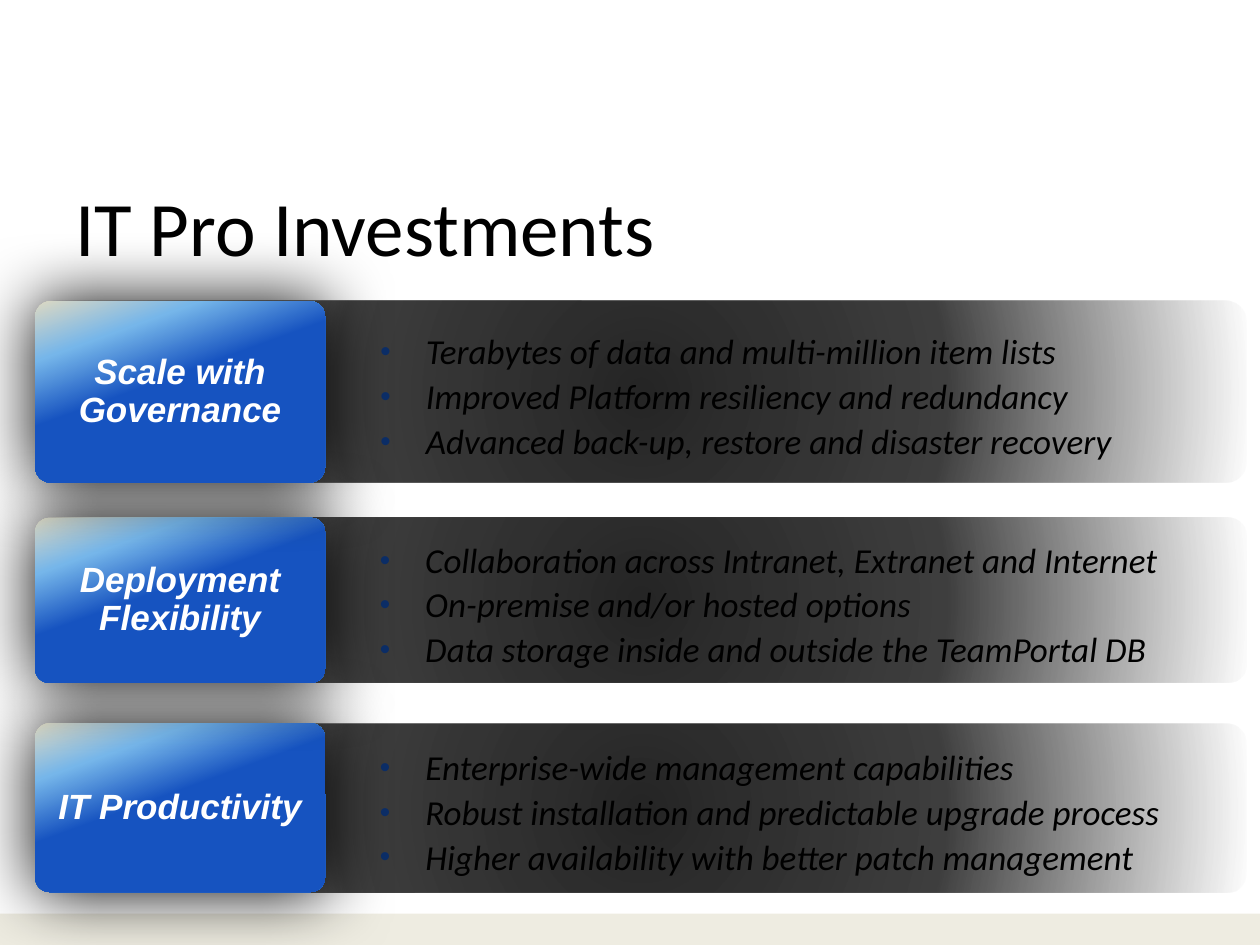
from dataclasses import dataclass

import pptx
import pptx.dml.color
import pptx.enum.shapes
import pptx.enum.text
import pptx.oxml
import pptx.oxml.ns
import pptx.util
from pptx.util import Inches

RECT = pptx.enum.shapes.MSO_SHAPE.RECTANGLE
ROUND = pptx.enum.shapes.MSO_SHAPE.ROUNDED_RECTANGLE
ALIGN = pptx.enum.text.PP_ALIGN
MIDDLE = pptx.enum.text.MSO_ANCHOR.MIDDLE


@dataclass(frozen=True)
class Theme:
    ink: str = "000000"
    white: str = "FFFFFF"
    strip: str = "EEECE1"
    bullet: str = "0C2E68"
    head: str = "Arial"
    body: str = "Calibri"
    title_size: int = 44
    text_size: int = 20


@dataclass(frozen=True)
class Stop:
    place: int
    color: str
    alpha: int = 100


@dataclass(frozen=True)
class Row:
    label: str
    points: tuple[str, ...]
    top: float
    height: float


THEME = Theme()
BAND_STOPS = (Stop(0, THEME.ink, 85), Stop(50, THEME.ink, 75), Stop(100, THEME.ink, 0))
CARD_STOPS = (Stop(0, "DDD9C3"), Stop(21, "76B6EA"), Stop(44, "1653C0"), Stop(100, "1653C0"))
BAND_PATH = ('<a:path path="circle"><a:fillToRect l="50000" t="50000" '
             'r="50000" b="50000"/></a:path>')
CARD_PATH = f'<a:lin ang="{70 * 60000}" scaled="0"/>'
LEFT = 0.28

ROWS = (
    Row("Scale with Governance",
        ("Terabytes of data and multi-million item lists",
         "Improved Platform resiliency and redundancy",
         "Advanced back-up, restore and disaster recovery"),
        2.39, 1.44),
    Row("Deployment Flexibility",
        ("Collaboration across Intranet, Extranet and Internet",
         "On-premise and/or hosted options",
         "Data storage inside and outside the TeamPortal DB"),
        4.11, 1.31),
    Row("IT Productivity",
        ("Enterprise-wide management capabilities",
         "Robust installation and predictable upgrade process",
         "Higher availability with better patch management"),
        5.74, 1.34),
)


def make_node(tag: str, attrs: str = "", inner: str = ""):
    space = pptx.oxml.ns.nsdecls("a")
    return pptx.oxml.parse_xml(f"<a:{tag} {space} {attrs}>{inner}</a:{tag}>")


def color_node(color: str, alpha: int = 100) -> str:
    return f'<a:srgbClr val="{color}"><a:alpha val="{alpha * 1000}"/></a:srgbClr>'


def add_box(slide, kind, left: float, top: float, width: float, height: float):
    box = slide.shapes.add_shape(kind, Inches(left), Inches(top),
                                 Inches(width), Inches(height))
    box.shadow.inherit = False
    box.line.fill.background()
    return box


def fill_grade(box, stops: tuple[Stop, ...], path: str) -> None:
    """Fill the box with a gradient of several stops."""
    marks = "".join(f'<a:gs pos="{stop.place * 1000}">'
                    f'{color_node(stop.color, stop.alpha)}</a:gs>' for stop in stops)
    box.fill.background()
    props = box._element.spPr
    blank = props.find(pptx.oxml.ns.qn("a:noFill"))
    props.replace(blank, make_node("gradFill", 'rotWithShape="1"',
                                   f"<a:gsLst>{marks}</a:gsLst>{path}"))


def add_glow(box) -> None:
    """Give the box a soft dark shadow on all sides."""
    effects = box._element.spPr.find(pptx.oxml.ns.qn("a:effectLst"))
    effects.append(make_node("outerShdw", f'blurRad="{pptx.util.Pt(40)}" algn="ctr" '
                             'rotWithShape="0"', color_node(THEME.ink)))


def set_font(para, name: str, size: int, color: str,
             bold: bool = False, slant: bool = False) -> None:
    font = para.font
    font.name, font.size = name, pptx.util.Pt(size)
    font.bold, font.italic = bold, slant
    font.color.rgb = pptx.dml.color.RGBColor.from_string(color)


def set_bullet(para) -> None:
    props = para._p.get_or_add_pPr()
    props.set("marL", str(Inches(0.36)))
    props.set("indent", str(Inches(-0.36)))
    props.append(make_node("buClr", inner=color_node(THEME.bullet)))
    props.append(make_node("buSzPct", 'val="85000"'))
    props.append(make_node("buFont", 'typeface="Arial"'))
    props.append(make_node("buChar", 'char="•"'))


def add_band(slide, row: Row) -> None:
    band = add_box(slide, ROUND, LEFT, row.top, 9.61, row.height)
    band.adjustments[0] = 0.117
    fill_grade(band, BAND_STOPS, BAND_PATH)
    frame = band.text_frame
    frame.word_wrap, frame.vertical_anchor = True, MIDDLE
    frame.margin_left, frame.margin_top = Inches(2.69), Inches(0.1)
    frame.margin_right = frame.margin_bottom = 0
    for index, point in enumerate(row.points):
        para = frame.add_paragraph() if index else frame.paragraphs[0]
        para.text = point
        para.alignment, para.line_spacing = ALIGN.LEFT, 0.9
        if index:
            para.space_before = pptx.util.Pt(4)
        set_bullet(para)
        set_font(para, THEME.body, THEME.text_size, THEME.ink, slant=True)


def add_card(slide, row: Row) -> None:
    card = add_box(slide, ROUND, LEFT, row.top, 2.3, row.height)
    card.adjustments[0] = 0.085
    fill_grade(card, CARD_STOPS, CARD_PATH)
    add_glow(card)
    frame = card.text_frame
    frame.word_wrap, frame.vertical_anchor = True, MIDDLE
    para = frame.paragraphs[0]
    para.text = row.label
    para.alignment, para.line_spacing = ALIGN.CENTER, 0.9
    set_font(para, THEME.head, THEME.text_size, THEME.white, bold=True, slant=True)


def set_title(slide, text: str) -> None:
    title = slide.shapes.title
    title.left, title.top = Inches(0.5), Inches(1.33)
    title.width, title.height = Inches(9), Inches(0.92)
    title.text_frame.vertical_anchor = MIDDLE
    para = title.text_frame.paragraphs[0]
    para.text = text
    para.alignment = ALIGN.LEFT
    set_font(para, THEME.body, THEME.title_size, THEME.ink)


def main() -> None:
    deck = pptx.Presentation()
    deck.slide_width, deck.slide_height = Inches(10), Inches(7.5)
    slide = deck.slides.add_slide(deck.slide_layouts.get_by_name("Title Only"))
    set_title(slide, "IT Pro Investments")
    strip = add_box(slide, RECT, 0, 7.25, 10, 0.25)
    strip.fill.solid()
    strip.fill.fore_color.rgb = pptx.dml.color.RGBColor.from_string(THEME.strip)
    for row in reversed(ROWS):
        add_band(slide, row)
        add_card(slide, row)
    deck.save("out.pptx")


if __name__ == "__main__":
    main()
